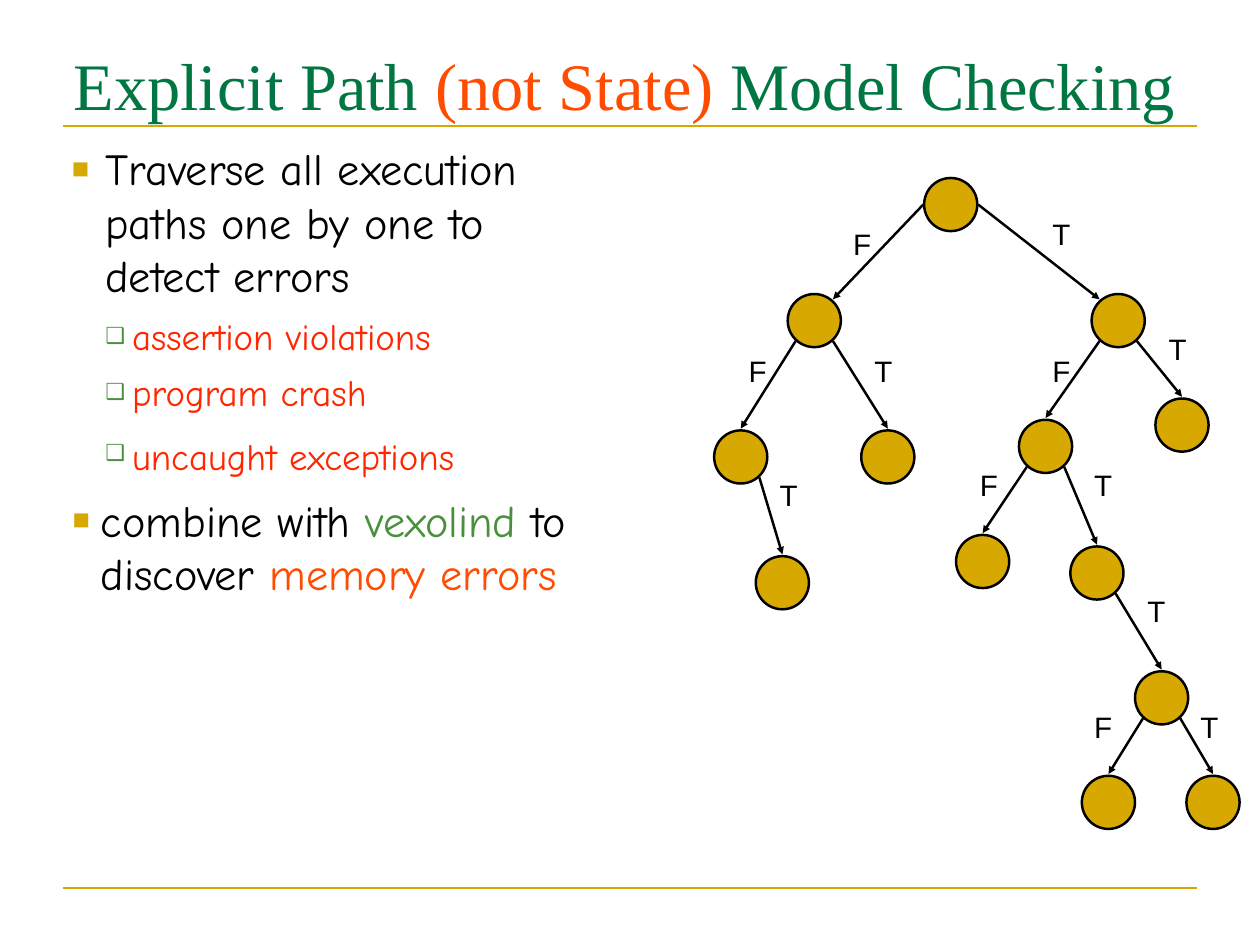
from lxml import etree
from pptx import Presentation
from pptx.dml.color import RGBColor
from pptx.enum.shapes import MSO_CONNECTOR, MSO_SHAPE
from pptx.enum.text import MSO_ANCHOR, MSO_AUTO_SIZE, PP_ALIGN
from pptx.oxml.ns import qn
from pptx.util import Pt

PX = 9144  # EMU per px, 100 px to the inch
STRAIGHT = MSO_CONNECTOR.STRAIGHT
OVAL = MSO_SHAPE.OVAL
LEFT, CENTER = PP_ALIGN.LEFT, PP_ALIGN.CENTER
TOP, MIDDLE = MSO_ANCHOR.TOP, MSO_ANCHOR.MIDDLE

GOLD, GREEN, LEAF = "D6A800", "007742", "49903D"
ORANGE, RED, BLACK = "FF4C00", "FF2600", "000000"

SLIDE_SIZE = (1422, 1067)
TITLE_BOX = (71, 39, 1281, 111)
BODY_BOX = (71, 154, 610, 912)
RULE_LEFT, RULE_RIGHT, RULE_TOPS = 71, 1351, (142, 1003)

# Runs are (text, size, colour)
TITLE = [("Explicit Path ", 54, GREEN), ("(not State)", 54, ORANGE),
         (" Model Checking", 54, GREEN)]

# Bullet styles: level, left margin, hanging indent, space before, mark, colour, percent
MAIN = (0, 42, -38, 11, "■", GOLD, 65)
MAIN_TIGHT = (0, 37, -32, 11, "■", GOLD, 65)
SUB = (1, 72, -30, 10, "❑", LEAF, 60)
BULLETS = [
    (MAIN, [("Traverse all execution paths one by one to detect errors", 36, BLACK)]),
    (SUB, [("assertion violations", 30, RED)]),
    (SUB, [("program crash", 30, RED)]),
    (SUB, [("uncaught exceptions", 30, RED), (" ", 36, RED)]),
    (MAIN_TIGHT, [("combine with ", 36, BLACK), ("vexolind", 36, LEAF),
                  (" to discover ", 36, BLACK), ("memory errors", 36, ORANGE)]),
]

# A node is named by the branches taken from the root; values are its centre
NODE_SIZE = 60
NODES = {
    "": (1073, 231),
    "F": (919, 362), "T": (1262, 362),
    "FF": (836, 516), "FT": (1002, 516), "TF": (1180, 504), "TT": (1334, 480),
    "FFT": (883, 658), "TFF": (1109, 634), "TFT": (1238, 647),
    "TFTT": (1311, 788),
    "TFTTF": (1251, 906), "TFTTT": (1369, 906),
}
# Left and top of the label on the branch into each node
LABEL_SIZE = (74, 49)
LABELS = {
    "F": (936, 249), "T": (1161, 238),
    "FF": (818, 392), "FT": (960, 392), "TF": (1161, 392), "TT": (1292, 368),
    "FFT": (853, 533), "TFF": (1079, 521), "TFT": (1208, 521),
    "TFTT": (1268, 664),
    "TFTTF": (1208, 794), "TFTTT": (1328, 794),
}


def emu(*lengths):
    return [length * PX for length in lengths]


def color(hex_string):
    return RGBColor.from_string(hex_string)


def set_frame(frame, anchor):
    values = dict.fromkeys(
        ("margin_left", "margin_top", "margin_right", "margin_bottom"), 6 * PX)
    values.update(word_wrap=True, auto_size=MSO_AUTO_SIZE.NONE, vertical_anchor=anchor)
    for name, value in values.items():
        setattr(frame, name, value)


def fill_paragraph(paragraph, runs, font_name, alignment=LEFT, margin=0, indent=0):
    paragraph.alignment = alignment
    properties = paragraph._p.get_or_add_pPr()
    properties.set("marL", str(margin * PX))
    properties.set("indent", str(indent * PX))
    for text, size, hex_string in runs:
        run = paragraph.add_run()
        run.text = text
        for name, value in {"name": font_name, "size": Pt(size), "bold": False}.items():
            setattr(run.font, name, value)
        run.font.color.rgb = color(hex_string)


def set_bullet(paragraph, mark, hex_string, percent):
    properties = paragraph._p.get_or_add_pPr()
    bullet_color = etree.SubElement(properties, qn("a:buClr"))
    etree.SubElement(bullet_color, qn("a:srgbClr"), val=hex_string)
    etree.SubElement(properties, qn("a:buSzPct"), val=str(percent * 1000))
    etree.SubElement(properties, qn("a:buChar"), char=mark)


def place(shape, box):
    for name, value in zip(("left", "top", "width", "height"), emu(*box)):
        setattr(shape, name, value)


def add_line(slide, start, end, hex_string, width, arrow=False):
    line = slide.shapes.add_connector(STRAIGHT, *emu(*start, *end))
    line.line.color.rgb = color(hex_string)
    line.line.width = Pt(width)
    if arrow:
        etree.SubElement(line.line._get_or_add_ln(), qn("a:tailEnd"), type="triangle")
    etree.SubElement(line._element.spPr, qn("a:effectLst"))


def add_text(slide):
    title, body = slide.shapes.title, slide.placeholders[1]
    place(title, TITLE_BOX)
    set_frame(title.text_frame, MIDDLE)
    fill_paragraph(title.text_frame.paragraphs[0], TITLE, "Times New Roman", margin=6)

    place(body, BODY_BOX)
    frame = body.text_frame
    set_frame(frame, TOP)
    for index, (style, runs) in enumerate(BULLETS):
        level, margin, indent, space, mark, hex_string, percent = style
        paragraph = frame.add_paragraph() if index else frame.paragraphs[0]
        paragraph.level = level
        paragraph.space_before = Pt(space)
        fill_paragraph(paragraph, runs, "Comic Neue", margin=margin, indent=indent)
        set_bullet(paragraph, mark, hex_string, percent)


def add_node(slide, center):
    x, y = center
    half = NODE_SIZE // 2
    node = slide.shapes.add_shape(OVAL, *emu(x - half, y - half, NODE_SIZE, NODE_SIZE))
    node.shadow.inherit = False
    node.fill.solid()
    node.fill.fore_color.rgb = color(GOLD)
    node.line.color.rgb = color(BLACK)
    node.line.width = Pt(2)


def add_branch(slide, name):
    """Draw the arrow into a node: root arrows run side to corner, others corner to top."""
    parent = name[:-1]
    side = -1 if name[-1] == "F" else 1
    (from_x, from_y), (to_x, to_y) = NODES[parent], NODES[name]
    if parent:
        start, end = (from_x + 21 * side, from_y + 23), (to_x, to_y - 32)
    else:
        start, end = (from_x + 31 * side, from_y), (to_x - 21 * side, to_y - 24)
    add_line(slide, start, end, BLACK, 2, arrow=True)


def add_label(slide, name):
    label = slide.shapes.add_textbox(*emu(*LABELS[name], *LABEL_SIZE))
    set_frame(label.text_frame, TOP)
    fill_paragraph(label.text_frame.paragraphs[0], [(name[-1], 24, BLACK)], "Arial", CENTER)


def main():
    presentation = Presentation()
    presentation.slide_width, presentation.slide_height = emu(*SLIDE_SIZE)
    slide = presentation.slides.add_slide(presentation.slide_layouts[1])
    for top in RULE_TOPS:
        add_line(slide, (RULE_LEFT, top), (RULE_RIGHT, top), GOLD, 1.5)
    add_text(slide)
    for center in NODES.values():
        add_node(slide, center)
    for name in LABELS:
        add_branch(slide, name)
        add_label(slide, name)
    presentation.save("out.pptx")


if __name__ == "__main__":
    main()
